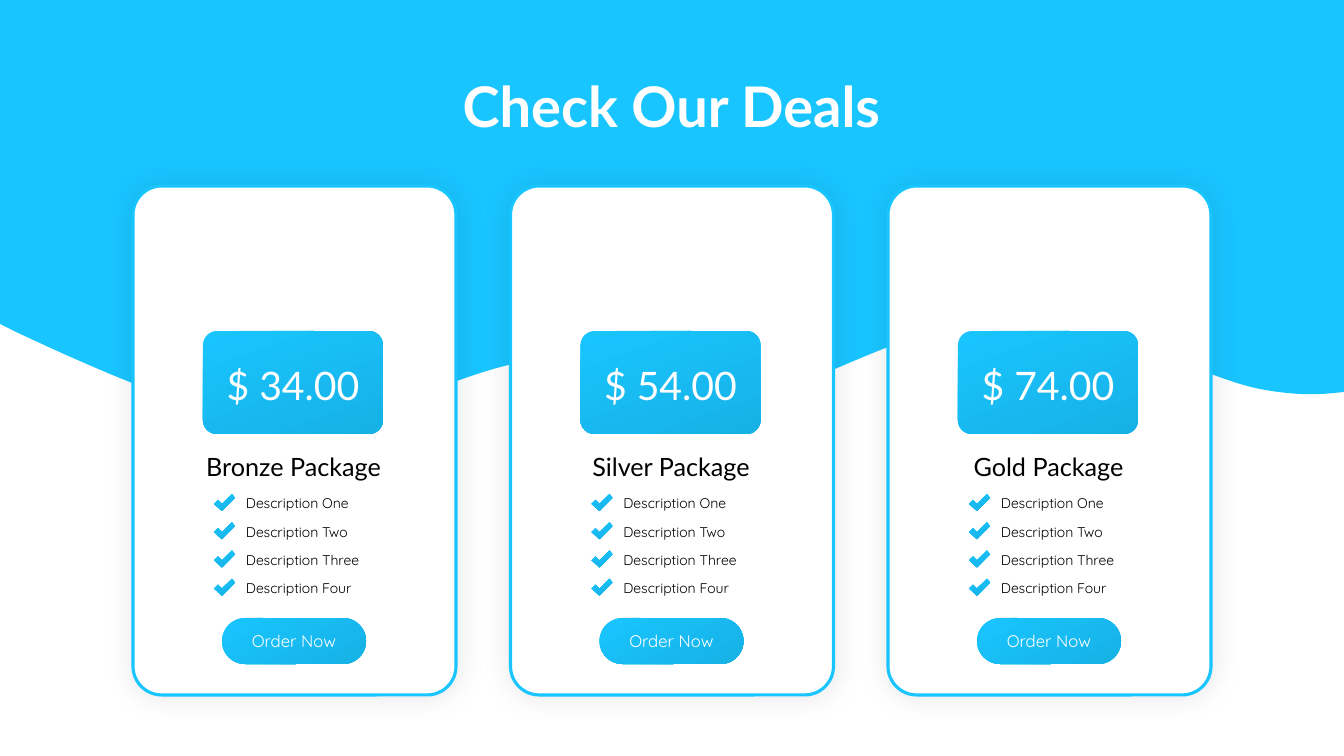
from lxml import etree
from pptx import Presentation
from pptx.dml.color import RGBColor
from pptx.enum.shapes import MSO_SHAPE
from pptx.enum.text import MSO_ANCHOR, MSO_AUTO_SIZE, PP_ALIGN
from pptx.oxml import parse_xml
from pptx.util import Pt

TITLE = "Check Our Deals"
DEALS = [("Bronze Package", "$ 34.00"),
         ("Silver Package", "$ 54.00"),
         ("Gold Package", "$ 74.00")]
FEATURES = ["Description One", "Description Two", "Description Three", "Description Four"]
BUTTON = "Order Now"

BLUE, DEEP_BLUE, WHITE, BLACK = "19C5FF", "16B1E5", "FFFFFF", "000000"
HEAD_FONT, BODY_FONT = "Lato", "Quicksand"

PX = 914400 / 100.8
CARD_X, CARD_Y, CARD_W, CARD_H, CARD_STEP = 133, 186, 323, 509, 377.5
FEATURE_Y, FEATURE_STEP = 490, 28.2

# Wave edge from right to left: start, then (control, control, end) per curve
WAVE_START = (1334, 393)
WAVE_CURVES = [((1315, 395), (1291, 395), (1260, 389)),
               ((1197, 377), (1095, 313), (1004, 317)),
               ((912, 320), (789, 402), (713, 409)),
               ((635, 416), (617, 358), (543, 360)),
               ((470, 362), (369, 432), (272, 423)),
               ((199, 416), (89, 366), (16, 332))]
CURVE_STEPS = 24
CHECK = [(8, 17), (0, 10), (4, 6), (8, 10), (18, 0), (21, 4)]

SHADOW = """<a:effectLst xmlns:a="http://schemas.openxmlformats.org/drawingml/2006/main">
<a:outerShdw blurRad="254000" dist="0" dir="0" algn="ctr" rotWithShape="0">
<a:srgbClr val="000000"><a:alpha val="10000"/></a:srgbClr></a:outerShdw></a:effectLst>"""


def px(n):
    return round(n * PX)


def color(value):
    return RGBColor.from_string(value)


def solid(sp, value):
    sp.shadow.inherit = False
    sp.line.fill.background()
    sp.fill.solid()
    sp.fill.fore_color.rgb = color(value)


def blue_gradient(sp, angle):
    """Fill with the blue gradient, angle in clockwise degrees."""
    sp.shadow.inherit = False
    sp.line.fill.background()
    sp.fill.gradient()
    sp.fill.gradient_angle = 360 - angle
    for stop, value in zip(sp.fill.gradient_stops, (BLUE, DEEP_BLUE)):
        stop.color.rgb = color(value)


def rounded(s, x, y, w, h, radius):
    sp = s.shapes.add_shape(MSO_SHAPE.ROUNDED_RECTANGLE, px(x), px(y), px(w), px(h))
    sp.adjustments[0] = radius
    return sp


def polygon(s, points, x=0, y=0):
    points = [(px(x + dx), px(y + dy)) for dx, dy in points]
    builder = s.shapes.build_freeform(*points[0])
    builder.add_line_segments(points[1:], close=True)
    return builder.convert_to_shape()


def label(s, text, x, y, w, h, font, size, value, align=PP_ALIGN.CENTER):
    box = s.shapes.add_textbox(px(x), px(y), px(w), px(h))
    tf = box.text_frame
    tf.word_wrap = True
    tf.auto_size = MSO_AUTO_SIZE.SHAPE_TO_FIT_TEXT
    p = tf.paragraphs[0]
    p.text = text
    p.alignment = align
    p.font.name = font
    p.font.size = Pt(size)
    p.font.color.rgb = color(value)
    return tf


def bezier(start, c1, c2, end):
    for i in range(1, CURVE_STEPS + 1):
        t = i / CURVE_STEPS
        u = 1 - t
        yield tuple(u**3 * a + 3 * u * u * t * b + 3 * u * t * t * c + t**3 * d
                    for a, b, c, d in zip(start, c1, c2, end))


def add_wave(s):
    points = [(0, 0), (1344, 0), (1344, 392), WAVE_START]
    for curve in WAVE_CURVES:
        points += list(bezier(points[-1], *curve))
    solid(polygon(s, points + [(0, 324)]), BLUE)


def add_card(s, x, name, price):
    card = rounded(s, x, CARD_Y, CARD_W, CARD_H, 0.089)
    solid(card, WHITE)
    card.line.color.rgb = color(BLUE)
    card.line.width = Pt(2.25)
    sp_pr = card.element.spPr
    effects = sp_pr.find("{*}effectLst")
    sp_pr.replace(effects, parse_xml(SHADOW))

    label(s, name, x + 37, 446, 247, 40, HEAD_FONT, 18, BLACK)
    blue_gradient(rounded(s, x + 89, 618, 144, 46, 0.5), 60)
    label(s, BUTTON, x + 94, 626, 134, 30, BODY_FONT, 12, WHITE)
    blue_gradient(rounded(s, x + 70, 331, 180, 103, 0.136), 70)
    label(s, price, x + 70, 356, 180, 57, HEAD_FONT, 28, WHITE)
    for i, feature in enumerate(FEATURES):
        y = FEATURE_Y + i * FEATURE_STEP
        blue_gradient(polygon(s, CHECK, x + 81, y + 4), 70)
        label(s, feature, x + 103, y, 140, 27, BODY_FONT, 10, BLACK, PP_ALIGN.LEFT)


def main():
    prs = Presentation()
    prs.slide_width, prs.slide_height = px(1344), px(756)
    s = prs.slides.add_slide(prs.slide_layouts[6])
    add_wave(s)
    for i, (name, price) in enumerate(DEALS):
        add_card(s, CARD_X + i * CARD_STEP, name, price)
    tf = label(s, TITLE, 277, 36, 789, 146, HEAD_FONT, 40, WHITE)
    tf.auto_size = MSO_AUTO_SIZE.NONE
    tf.vertical_anchor = MSO_ANCHOR.MIDDLE
    tf.paragraphs[0].line_spacing = 0.9
    tf.paragraphs[0].font.bold = True
    prs.save("out.pptx")


if __name__ == "__main__":
    main()
